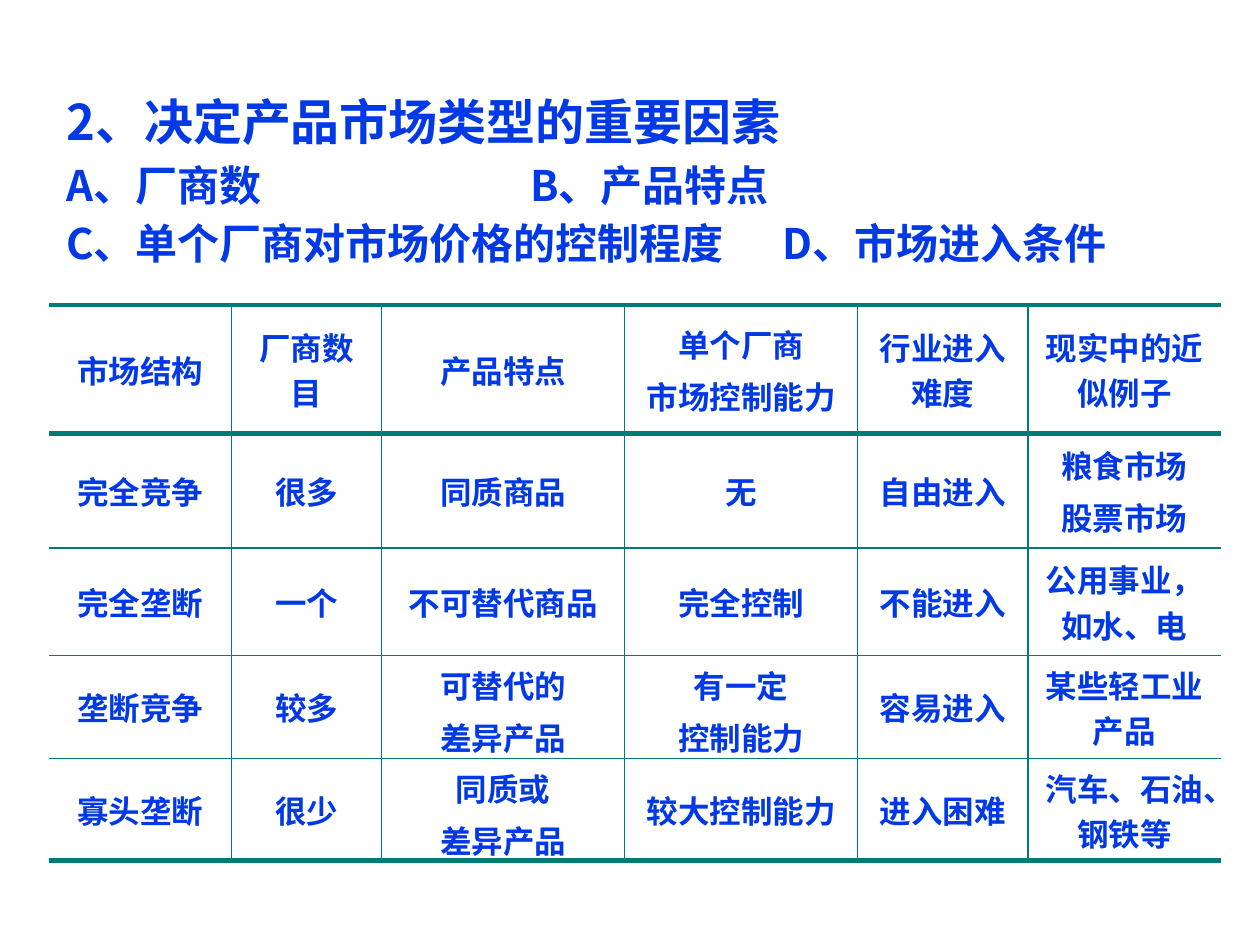
from dataclasses import dataclass

from lxml.etree import SubElement
from pptx import Presentation
from pptx.dml.color import RGBColor
from pptx.enum.text import MSO_ANCHOR as Anchor, PP_ALIGN as Align
from pptx.oxml.ns import qn
from pptx.slide import Slide
from pptx.util import Cm, Pt

# Content
HEADING = "2、决定产品市场类型的重要因素"
FACTORS = [
    ("A、厂商数\tB、产品特点", 9.35),
    ("C、单个厂商对市场价格的控制程度\tD、市场进入条件", 14.43),
]
MARKETS = [
    ["市场结构", "厂商数目", "产品特点", "单个厂商\n市场控制能力", "行业进入难度", "现实中的近似例子"],
    ["完全竞争", "很多", "同质商品", "无", "自由进入", "粮食市场\n股票市场"],
    ["完全垄断", "一个", "不可替代商品", "完全控制", "不能进入", "公用事业，如水、电"],
    ["垄断竞争", "较多", "可替代的\n差异产品", "有一定\n控制能力", "容易进入", "某些轻工业产品"],
    ["寡头垄断", "很少", "同质或\n差异产品", "较大控制能力", "进入困难", "汽车、石油、钢铁等"],
]
COLUMN_WIDTHS = [3.68, 3.02, 4.9, 4.7, 3.43, 3.89]
ROW_HEIGHTS = [2.59, 2.31, 2.16, 2.08, 2.06]


def color(value):
    return RGBColor.from_string(value)


def write(paragraph, text, *, size, font, ink, align=Align.LEFT, tab=None):
    """Fill a paragraph with bold text and an optional tab stop in cm."""
    paragraph.alignment = align
    paragraph.space_before = Pt(size * 0.2)
    run = paragraph.add_run()
    run.text = text
    run.font.size = Pt(size)
    run.font.bold = True
    run.font.name = font
    run.font.color.rgb = color(ink)
    SubElement(run.font._element, qn("a:ea"), typeface=font)
    if tab:
        tabs = SubElement(paragraph._p.get_or_add_pPr(), qn("a:tabLst"))
        SubElement(tabs, qn("a:tab"), pos=str(Cm(tab)), algn="l")


def draw_border(cell, side, width, ink):
    """Draw one cell edge; a width of 0 hides it."""
    line = SubElement(cell._tc.get_or_add_tcPr(), qn(f"a:ln{side}"), w=str(Pt(width)))
    if width:
        fill = SubElement(line, qn("a:solidFill"))
        SubElement(fill, qn("a:srgbClr"), val=ink)
    else:
        SubElement(line, qn("a:noFill"))


@dataclass
class Page:
    slide: Slide
    font: str = "Noto Sans CJK SC"
    ink: str = "0039E5"
    rule: str = "007A77"
    thin: int = 1
    thick: int = 3

    def text(self, left, top, width, height, lines):
        box = self.slide.shapes.add_textbox(Cm(left), Cm(top), Cm(width), Cm(height))
        frame = box.text_frame
        frame.word_wrap = True
        for index, (content, size, tab) in enumerate(lines):
            paragraph = frame.add_paragraph() if index else frame.paragraphs[0]
            write(paragraph, content, size=size, tab=tab, font=self.font, ink=self.ink)

    def table(self, left, top, widths, heights, rows):
        shape = self.slide.shapes.add_table(
            len(rows), len(widths), Cm(left), Cm(top), Cm(sum(widths)), Cm(sum(heights)))
        table = shape.table
        table.first_row = table.horz_banding = False
        for column, width in zip(table.columns, widths):
            column.width = Cm(width)
        for row, height in zip(table.rows, heights):
            row.height = Cm(height)
        for r, texts in enumerate(rows):
            for c, content in enumerate(texts):
                cell = table.cell(r, c)
                self.fill_cell(cell, content)
                # Thick rules frame the header and close the table; the sides are open
                edges = {
                    "L": self.thin if c else 0,
                    "R": self.thin if c < len(texts) - 1 else 0,
                    "T": self.thick if r < 2 else self.thin,
                    "B": self.thick if r in (0, len(rows) - 1) else self.thin,
                }
                for side, width in edges.items():
                    draw_border(cell, side, width, self.rule)
                cell.fill.background()

    def fill_cell(self, cell, content):
        cell.vertical_anchor = Anchor.MIDDLE
        frame = cell.text_frame
        for index, line in enumerate(content.split("\n")):
            paragraph = frame.add_paragraph() if index else frame.paragraphs[0]
            write(paragraph, line, size=18, align=Align.CENTER, font=self.font, ink=self.ink)


def main():
    presentation = Presentation()
    presentation.slide_width, presentation.slide_height = Cm(25.4), Cm(19.05)
    page = Page(presentation.slides.add_slide(presentation.slide_layouts[6]))

    # Heading and the four factors
    lines = [(HEADING, 28, None)] + [(text, 24, tab) for text, tab in FACTORS]
    page.text(1.09, 1.73, 23.11, 4.39, lines)

    # Comparison of market structures
    page.table(0.99, 6.15, COLUMN_WIDTHS, ROW_HEIGHTS, MARKETS)

    presentation.save("out.pptx")


if __name__ == "__main__":
    main()
